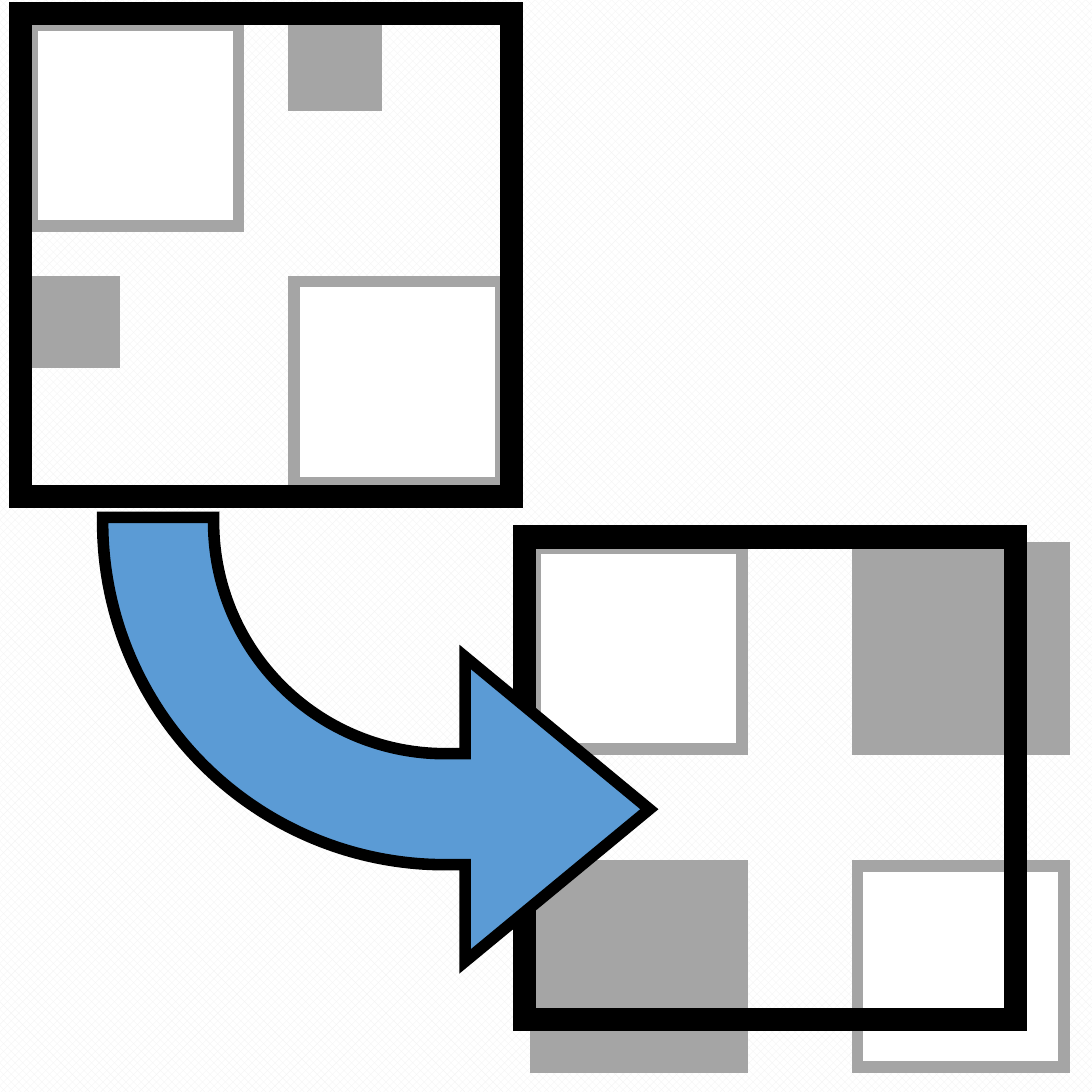
import pptx
import pptx.dml.color
import pptx.enum.dml
import pptx.enum.shapes
import pptx.oxml.ns
import pptx.util
from lxml import etree

Inches = pptx.util.Inches
RGBColor = pptx.dml.color.RGBColor
SHAPES = pptx.enum.shapes.MSO_SHAPE

WHITE = RGBColor(0xFF, 0xFF, 0xFF)
PALE = RGBColor(0xF2, 0xF2, 0xF2)
GRAY = RGBColor(0xA5, 0xA5, 0xA5)
BLACK = RGBColor(0, 0, 0)
BLUE = RGBColor(0x5B, 0x9B, 0xD5)

FRAME_SIZE = (3.54, 3.48)
LARGE = (1.49, 1.45)
SMALL = (0.59, 0.58)
INSET = 0.08
ARROW_BENDS = (0.25, 0.343, 0.415, 0.771)


def add_outlined(page, kind, box, fill, line, points):
    shape = page.shapes.add_shape(kind, *(Inches(length) for length in box))
    shape.shadow.inherit = False
    if fill is None:
        shape.fill.background()
    else:
        shape.fill.solid()
        shape.fill.fore_color.rgb = fill
    shape.line.color.rgb = line
    for name, value in {"width": pptx.util.Pt(points)}.items():
        setattr(shape.line, name, value)
    outline = shape._element.spPr.find(pptx.oxml.ns.qn("a:ln"))
    etree.SubElement(outline, pptx.oxml.ns.qn("a:miter"), lim="800000")
    return shape


def add_panel(page, box, step, gray_size):
    left, top, width, height = box
    cells = [(0, 1, GRAY, gray_size), (1, 0, GRAY, gray_size),
             (0, 0, WHITE, LARGE), (1, 1, WHITE, LARGE)]
    for column, row, fill, size in cells:
        square = (left + INSET + column * step[0], top + INSET + row * step[1], *size)
        add_outlined(page, SHAPES.RECTANGLE, square, fill, GRAY, 6)
    add_outlined(page, SHAPES.RECTANGLE, (left, top, width, height), None, BLACK, 12)


def add_arrow(page, box):
    arrow = add_outlined(page, SHAPES.BENT_ARROW, box, BLUE, BLACK, 6)
    for index, bend in enumerate(ARROW_BENDS):
        arrow.adjustments[index] = bend
    arrow._element.spPr.find(pptx.oxml.ns.qn("a:xfrm")).set("flipV", "1")


def set_background(page):
    fill = page.background.fill
    fill.patterned()
    fill.pattern = pptx.enum.dml.MSO_PATTERN.LARGE_CHECKER_BOARD
    fill.fore_color.rgb = PALE
    fill.back_color.rgb = WHITE


def main():
    deck = pptx.Presentation()
    deck.slide_width = deck.slide_height = Inches(7.87)
    page = deck.slides.add_slide(deck.slide_layouts[6])
    set_background(page)
    add_panel(page, (0.15, 0.1, *FRAME_SIZE), (1.89, 1.85), SMALL)
    add_panel(page, (3.78, 3.87, *FRAME_SIZE), (2.32, 2.29), LARGE)
    add_arrow(page, (0.74, 3.73, 3.94, 3.2))
    deck.save("out.pptx")


if __name__ == "__main__":
    main()
